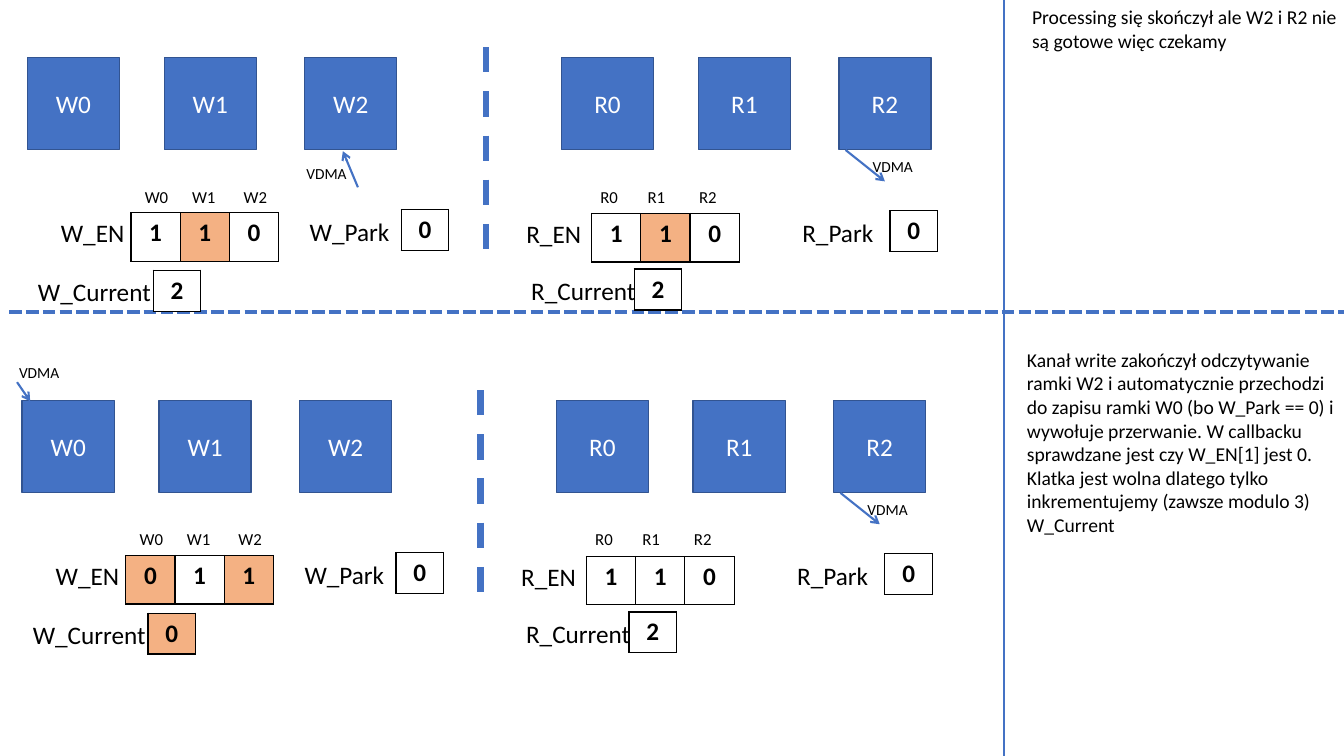
"""Builds a slide showing two steps of VDMA write and read frame buffering."""
from dataclasses import dataclass

from lxml import etree
from pptx import Presentation, util as u
from pptx.dml.color import RGBColor
from pptx.enum import dml, shapes, text
from pptx.oxml.ns import qn


@dataclass(frozen=True)
class Theme:
    font: str = "Calibri"
    blue: str = "4472C4"
    edge: str = "325491"
    changed: str = "F4B183"
    white: str = "FFFFFF"
    black: str = "000000"
    body: int = 18
    note: int = 14
    index: int = 12
    vdma: int = 11


theme = Theme()
FRAME, FRAME_TOP, FRAME_STEPS = 2.32, 1.45, (0, 3.45, 6.99)
INDEX_TOP, INDEX_STEPS = 4.57, (0, 1.19, 2.49)
FLAG_W, FLAG_H, REGISTER_W, REGISTER_H = 1.24, 1.22, 1.2, 1.03
LABEL_H = 1.02

channels = {
    "W": {"frames": 0.69, "index": 3.4,
          "EN": ((1.27, 5.36, 2.13), (3.3, 5.36)),
          "Park": ((7.54, 5.33, 2.54), (10.11, 5.28)),
          "Current": ((0.69, 6.83, 3.38), (3.86, 6.81))},
    "R": {"frames": 14.15, "index": 14.88,
          "EN": ((13.0, 5.38, 1.91), (14.91, 5.38)),
          "Park": ((19.96, 5.36, 2.31), (22.43, 5.31)),
          "Current": ((13.11, 6.81, 3.18), (15.98, 6.78))},
}
read_vdma = {"label": (21.74, 3.84), "arrow": (21.31, 3.78, 22.3, 4.57)}

steps = [
    {"shift": (0, 0),
     "note": "Processing się skończył ale W2 i R2 nie są gotowe więc czekamy",
     "note_height": 1.45,
     "vdma": [{"label": (7.47, 4.01), "arrow": (9.02, 4.72, 8.64, 3.81)}, read_vdma],
     "values": {"W": {"EN": "110", "Park": "0", "Current": "2"},
                "R": {"EN": "110", "Park": "0", "Current": "2"}},
     "changed": {("W", "EN", 1), ("R", "EN", 1)}},
    {"shift": (-0.13, 8.64),
     "note": "Kanał write zakończył odczytywanie ramki W2 i automatycznie przechodzi "
             "do zapisu ramki W0 (bo W_Park == 0) i wywołuje przerwanie. W callbacku "
             "sprawdzane jest czy W_EN[1] jest 0. Klatka jest wolna dlatego tylko "
             "inkrementujemy (zawsze modulo 3) W_Current",
     "note_height": 5.05,
     "vdma": [{"label": (0.36, 0.38), "arrow": (0.56, 0.99, 0.89, 1.47)}, read_vdma],
     "values": {"W": {"EN": "011", "Park": "0", "Current": "0"},
                "R": {"EN": "110", "Park": "0", "Current": "2"}},
     "changed": {("W", "EN", 0), ("W", "EN", 2), ("W", "Current", 0)}},
]

deck = Presentation()
deck.slide_width, deck.slide_height = u.Cm(33.87), u.Cm(19.05)
slide = deck.slides.add_slide(deck.slide_layouts[6])


def cm(*lengths):
    return [u.Cm(length) for length in lengths]


def write(frame, words, size, color=theme.black, bold=False, align=text.PP_ALIGN.LEFT):
    paragraph = frame.paragraphs[0]
    paragraph.alignment = align
    run = paragraph.add_run()
    run.text = words
    run.font.name, run.font.size, run.font.bold = theme.font, u.Pt(size), bold
    run.font.color.rgb = RGBColor.from_string(color)


def label(words, box, size, wrap=False, align=text.PP_ALIGN.LEFT):
    frame = slide.shapes.add_textbox(*cm(*box)).text_frame
    frame.word_wrap = wrap
    write(frame, words, size, align=align)


def line(ends, width, dash=None, arrow=False):
    connector = slide.shapes.add_connector(shapes.MSO_CONNECTOR.STRAIGHT, *cm(*ends))
    connector.line.color.rgb = RGBColor.from_string(theme.blue)
    connector.line.width = u.Pt(width)
    if dash:
        connector.line.dash_style = dash
    properties = connector.element.spPr
    if arrow:
        etree.SubElement(properties.find(qn("a:ln")), qn("a:tailEnd"), type="arrow")
    etree.SubElement(properties, qn("a:effectLst"))


def frame_block(name, left, top):
    block = slide.shapes.add_shape(shapes.MSO_SHAPE.RECTANGLE, *cm(left, top, FRAME, FRAME))
    block.shadow.inherit = False
    block.fill.solid()
    block.fill.fore_color.rgb = RGBColor.from_string(theme.blue)
    block.line.color.rgb = RGBColor.from_string(theme.edge)
    block.line.width = u.Pt(1)
    block.text_frame.vertical_anchor = text.MSO_ANCHOR.MIDDLE
    write(block.text_frame, name, theme.body, theme.white, align=text.PP_ALIGN.CENTER)


def outline(cell):
    properties = cell._tc.get_or_add_tcPr()
    for side in ("lnL", "lnR", "lnT", "lnB"):
        border = etree.SubElement(properties, qn(f"a:{side}"), w=str(u.Pt(1)))
        paint = etree.SubElement(border, qn("a:solidFill"))
        etree.SubElement(paint, qn("a:srgbClr"), val=theme.black)


def register(digits, changed, left, top):
    width, height = (FLAG_W, FLAG_H) if len(digits) > 1 else (REGISTER_W, REGISTER_H)
    box = cm(left, top, width * len(digits), height)
    table = slide.shapes.add_table(1, len(digits), *box).table
    for position, digit in enumerate(digits):
        cell = table.cell(0, position)
        outline(cell)
        cell.fill.solid()
        fill = theme.changed if position in changed else theme.white
        cell.fill.fore_color.rgb = RGBColor.from_string(fill)
        write(cell.text_frame, digit, theme.body, bold=True, align=text.PP_ALIGN.CENTER)


def draw_channel(step, channel, places):
    dx, dy = step["shift"]
    for number, (frame_step, index_step) in enumerate(zip(FRAME_STEPS, INDEX_STEPS)):
        name = f"{channel}{number}"
        frame_block(name, places["frames"] + frame_step + dx, FRAME_TOP + dy)
        label(name, (places["index"] + index_step + dx, INDEX_TOP + dy, 1.4, 0.76),
              theme.index, wrap=True)
    for kind, digits in step["values"][channel].items():
        (left, top, width), (cell_left, cell_top) = places[kind]
        label(f"{channel}_{kind}", (left + dx, top + dy, width, LABEL_H), theme.body,
              align=text.PP_ALIGN.CENTER)
        changed = {n for n in range(len(digits)) if (channel, kind, n) in step["changed"]}
        register(digits, changed, cell_left + dx, cell_top + dy)


line((25.3, 0, 25.3, 19.05), 1.5)
line((0.23, 7.87, 34.09, 7.87), 3, dml.MSO_LINE.SQUARE_DOT)
for step in steps:
    dx, dy = step["shift"]
    line((12.24 + dx, 1.19 + dy, 12.24 + dx, 6.38 + dy), 4.5, dml.MSO_LINE.DASH)
    for channel, places in channels.items():
        draw_channel(step, channel, places)
    for transfer in step["vdma"]:
        x1, y1, x2, y2 = transfer["arrow"]
        line((x1 + dx, y1 + dy, x2 + dx, y2 + dy), 1.5, arrow=True)
        left, top = transfer["label"]
        label("VDMA", (left + dx, top + dy, 1.55, 0.74), theme.vdma)
    label(step["note"], (25.76 + dx, dy, 8.33, step["note_height"]), theme.note, wrap=True)

deck.save("out.pptx")
